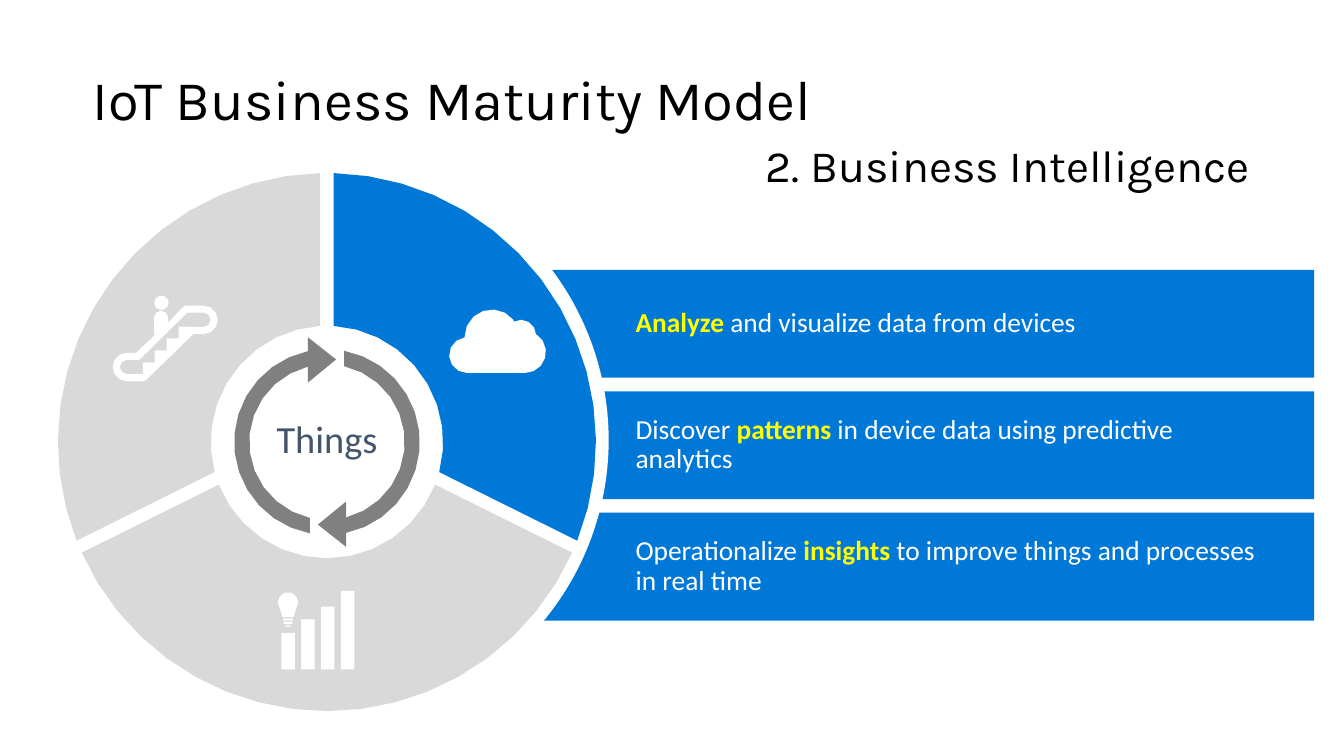
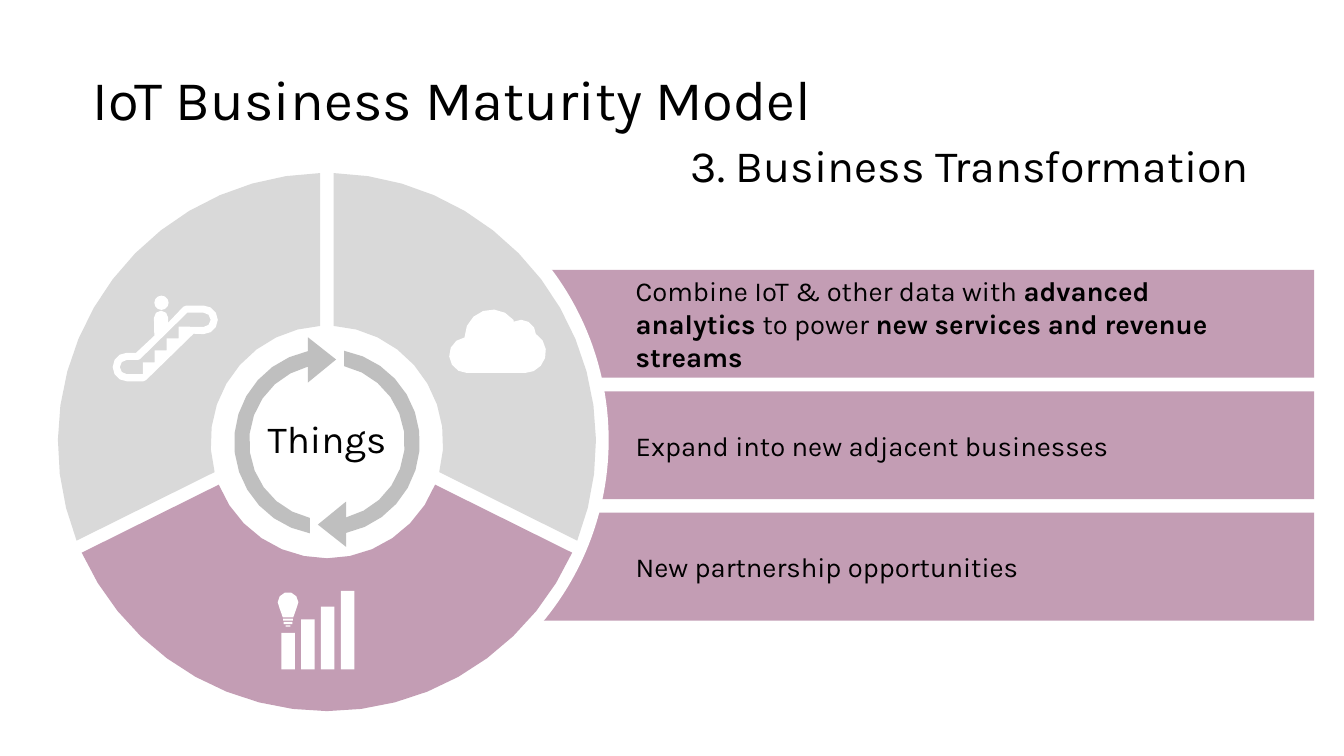
import math

import pptx
import pptx.dml.color
import pptx.enum.shapes
import pptx.enum.text
import pptx.oxml
import pptx.util

Cm = pptx.util.Cm
Pt = pptx.util.Pt
RGB = pptx.dml.color.RGBColor
Preset = pptx.enum.shapes.MSO_SHAPE
Align = pptx.enum.text.PP_ALIGN
Anchor = pptx.enum.text.MSO_ANCHOR

BLACK = RGB(0x00, 0x00, 0x00)
WHITE = RGB(0xFF, 0xFF, 0xFF)
YELLOW = RGB(0xFF, 0xFF, 0x00)
BLUE = RGB(0x00, 0x78, 0xD7)
MAUVE = RGB(0xC3, 0x9D, 0xB4)
SLATE = RGB(0x44, 0x54, 0x6A)
PALE_GRAY = RGB(0xD9, 0xD9, 0xD9)
MID_GRAY = RGB(0xBF, 0xBF, 0xBF)
DARK_GRAY = RGB(0x80, 0x80, 0x80)

HEADING_FONT = "Karla"
HEADING = "IoT Business Maturity Model"
HEADING_BOX = (2.08, 1.68, 29.67, 1.75)
STAGE_BOX = (15, 3.5, 16.75, 1.4)
WHEEL_BOX = (1.46, 4.36, 13.56)
BENEFITS_BOX = (13.28, 6.8, 19.84, 8.84)
BENEFIT_HEIGHT = 2.72
HUB_RADIUS = 2.93
SPOKE_ANGLE = 26.4
ARC_TOLERANCE = 0.015 / 1
SECTORS = [
    ((180 - SPOKE_ANGLE, 0.58), (270, -0.17)),
    ((-90, 0.17), (SPOKE_ANGLE, -0.58)),
    ((SPOKE_ANGLE, -0.25), (180 - SPOKE_ANGLE, 0.25)),
]

STAGES = [
    {
        "title": "2. Business Intelligence",
        "active": 1,
        "accent": BLUE,
        "cycle": DARK_GRAY,
        "hub": SLATE,
        "font": "Calibri",
        "plain": WHITE,
        "strong": YELLOW,
        "spacing": 0.9,
        "benefits": [
            [("Analyze", True), (" and visualize data from devices", False)],
            [("Discover ", False), ("patterns", True),
             (" in device data using predictive analytics", False)],
            [("Operationalize ", False), ("insights", True),
             (" to improve things and processes in real time", False)],
        ],
    },
    {
        "title": "3. Business Transformation",
        "active": 2,
        "accent": MAUVE,
        "cycle": MID_GRAY,
        "hub": BLACK,
        "font": HEADING_FONT,
        "plain": BLACK,
        "strong": BLACK,
        "spacing": 1.0,
        "benefits": [
            [("Combine IoT & other data with ", False), ("advanced analytics ", True),
             ("to power ", False), ("new services and revenue streams", True)],
            [("Expand into new adjacent businesses", False)],
            [("New partnership opportunities", False)],
        ],
    },
]


def apply_formats(target, formats):
    """Set every attribute named in formats on target."""
    for attribute, value in formats.items():
        setattr(target, attribute, value)


def write_text(holder, runs, size, font, spacing=0.9, align=Align.LEFT,
               anchor=Anchor.MIDDLE, insets=(0.25, 0.13, 0.25, 0.13)):
    """Fill one paragraph with (text, colour, bold) runs."""
    frame = holder.text_frame
    left, top, right, bottom = map(Cm, insets)
    apply_formats(frame, {
        "word_wrap": True, "auto_size": pptx.enum.text.MSO_AUTO_SIZE.NONE,
        "vertical_anchor": anchor, "margin_left": left, "margin_top": top,
        "margin_right": right, "margin_bottom": bottom,
    })
    paragraph = frame.paragraphs[0]
    apply_formats(paragraph, {"alignment": align, "line_spacing": spacing,
                              "space_before": Pt(0)})
    for text, color, bold in runs:
        run = paragraph.add_run()
        run.text = text
        apply_formats(run.font, {"size": Pt(size), "name": font, "bold": bold})
        run.font.color.rgb = color
    return paragraph


def paint(shape, color):
    """Give a shape a flat fill with no line or shadow."""
    shape.fill.solid()
    shape.fill.fore_color.rgb = color
    shape.line.fill.background()
    shape.shadow.inherit = False
    return shape


def add_block(slide, preset, box, color):
    """Add a flat preset shape in a box given in centimetres."""
    return paint(slide.shapes.add_shape(preset, *map(Cm, box)), color)


def add_outline(slide, left, top, contours, color):
    """Add a flat freeform from closed contours relative to left and top."""
    placed = [[(Cm(left + x), Cm(top + y)) for x, y in contour] for contour in contours]
    builder = slide.shapes.build_freeform(*placed[0][0], scale=1.0)
    builder.add_line_segments(placed[0][1:], close=True)
    for contour in placed[1:]:
        builder.move_to(*contour[0])
        builder.add_line_segments(contour[1:], close=True)
    return paint(builder.convert_to_shape(), color)


def arc(x, y, radius, start, end):
    """Return points along a circle, angles in degrees clockwise from the right."""
    step = 2 * math.degrees(math.acos(1 - ARC_TOLERANCE / radius))
    count = math.ceil(abs(end - start) / step)
    angles = [math.radians(start + (end - start) * i / count) for i in range(count + 1)]
    return [(x + radius * math.cos(a), y + radius * math.sin(a)) for a in angles]


def sector_contour(radius, start_edge, end_edge):
    """Return a ring sector whose straight edges lie off the centre."""
    def angle_at(edge, distance):
        """Return where an edge meets a circle."""
        return edge[0] + math.degrees(math.asin(edge[1] / distance))

    outer, inner = [
        arc(0, 0, r, angle_at(start_edge, r), angle_at(end_edge, r))
        for r in (radius, HUB_RADIUS)
    ]
    return outer + inner[::-1]


def add_cycle(slide, center_x, center_y, color):
    """Draw the two arrows circling the hub."""
    outer, inner = [
        arc(0, 0, r, math.degrees(math.acos(-0.43 / r)),
            360 - math.degrees(math.acos(-0.48 / r)))
        for r in (2.34, 1.96)
    ]
    head = [(-0.48, -2.64), (0.23, -2.08), (-0.48, -1.5)]
    arrow = outer + head + inner[::-1]
    opposite = [(-x, -y) for x, y in arrow]
    add_outline(slide, center_x, center_y, [arrow, opposite], color)


def add_escalator(slide, left, top):
    """Draw a person riding an escalator."""
    rail = (
        [(1.83, 0), (1.75, 0.03), (1.37, 0.43)]
        + arc(1.19, 0.31, 0.18, 360, 180)
        + [(1.02, 0.76), (0.56, 1.19)]
        + arc(0.33, 1.55, 0.36, 270, 90)
        + [(0.74, 1.91), (0.81, 1.88), (2.01, 0.71)]
        + arc(2.26, 0.36, 0.36, 90, -90)
    )
    steps = [(1.63 - 0.3 * i, y + 0.3 * i) for i in range(4) for y in (0.53, 0.83)]
    opening = (
        steps + arc(0.33, 1.55, 0.18, 90, 270)
        + [(0.61, 1.37), (0.66, 1.35), (1.85, 0.18)]
        + arc(2.26, 0.36, 0.18, -90, 90)
    )
    add_outline(slide, left, top, [rail, opening], WHITE)
    add_block(slide, Preset.OVAL, (left + 1.02, top - 0.25, 0.36, 0.36), WHITE)


def add_cloud(slide, left, top):
    """Draw a cloud."""
    contour = (
        arc(0.44, 1.15, 0.45, 90, 262) + arc(1.07, 0.69, 0.69, 180, 322)
        + arc(1.8, 0.64, 0.38, 241, 360) + arc(1.9, 1.07, 0.53, 303, 450)
    )
    add_outline(slide, left, top, [contour], WHITE)


def add_growth(slide, left, top):
    """Draw rising columns with a light bulb on the first."""
    for i, height in enumerate((0.92, 1.26, 1.58, 1.98)):
        add_block(slide, Preset.RECTANGLE,
                  (left + 0.1 + 0.5 * i, top + 1.95 - height, 0.34, height), WHITE)
    bulb = arc(0.27, 0.26, 0.26, 145, 395) + [(0.4, 0.64), (0.14, 0.64)]
    threads = [
        [(0.27 - half, y), (0.27 + half, y), (0.27 + half, y + h), (0.27 - half, y + h)]
        for half, y, h in ((0.12, 0.67, 0.05), (0.11, 0.75, 0.06), (0.06, 0.84, 0.03))
    ]
    add_outline(slide, left, top, [bulb] + threads, WHITE)


def add_wheel(slide, box, stage):
    """Draw the three-part wheel with the active part in the accent colour."""
    left, top, diameter = box
    radius = diameter / 2
    x, y = left + radius, top + radius
    add_block(slide, Preset.OVAL, (x - 7.2, y - 7.2, 14.3, 14.3), WHITE)
    add_cycle(slide, x, y, stage["cycle"])
    hub = slide.shapes.add_textbox(*map(Cm, (x - 2.9, y - 0.6, 5.8, 1.15)))
    write_text(hub, [("Things", stage["hub"], False)], 27.4, stage["font"],
               align=Align.CENTER, insets=(0.5, 0.4, 0.5, 0.4))
    for i, edges in enumerate(SECTORS):
        color = stage["accent"] if i == stage["active"] else PALE_GRAY
        add_outline(slide, x, y, [sector_contour(radius, *edges)], color)
    add_escalator(slide, left + 1.41, top + 3.34)
    add_cloud(slide, left + 9.87, top + 3.44)
    add_growth(slide, left + 5.53, top + 10.56)


def add_benefits(slide, box, stage):
    """Stack the benefit bands evenly in the box."""
    left, top, width, height = box
    pitch = (height - BENEFIT_HEIGHT) / (len(stage["benefits"]) - 1)
    for i, benefit in enumerate(stage["benefits"]):
        band = add_block(slide, Preset.RECTANGLE,
                         (left, top + i * pitch, width, BENEFIT_HEIGHT), stage["accent"])
        runs = [(text, stage["strong" if strong else "plain"], strong)
                for text, strong in benefit]
        write_text(band, runs, 19.6, stage["font"], stage["spacing"],
                   insets=(2.74, 0.13, 1.24, 0.13))


def add_heading(slide, title):
    """Fill the title with the model name and the body with the stage."""
    stage_name = slide.placeholders[1]
    for holder, box in ((slide.shapes.title, HEADING_BOX), (stage_name, STAGE_BOX)):
        apply_formats(holder, dict(zip(("left", "top", "width", "height"), map(Cm, box))))
    write_text(slide.shapes.title, [(HEADING, BLACK, False)], 40, HEADING_FONT,
               anchor=Anchor.TOP)
    paragraph = write_text(stage_name, [(title, BLACK, False)], 32, HEADING_FONT,
                           align=Align.RIGHT, anchor=Anchor.TOP)
    properties = paragraph._p.get_or_add_pPr()
    for name in ("marL", "indent"):
        properties.set(name, "0")
    properties.append(pptx.oxml.parse_xml(
        '<a:buNone xmlns:a="http://schemas.openxmlformats.org/drawingml/2006/main"/>'))


def add_stage_slide(deck, stage):
    """Build the slide of one maturity stage."""
    slide = deck.slides.add_slide(deck.slide_layouts[1])
    add_heading(slide, stage["title"])
    add_benefits(slide, BENEFITS_BOX, stage)
    add_wheel(slide, WHEEL_BOX, stage)


def main():
    """Build and save the deck."""
    deck = pptx.Presentation()
    apply_formats(deck, {"slide_width": Cm(33.87), "slide_height": Cm(19.05)})
    for stage in STAGES:
        add_stage_slide(deck, stage)
    deck.save("out.pptx")


if __name__ == "__main__":
    main()
